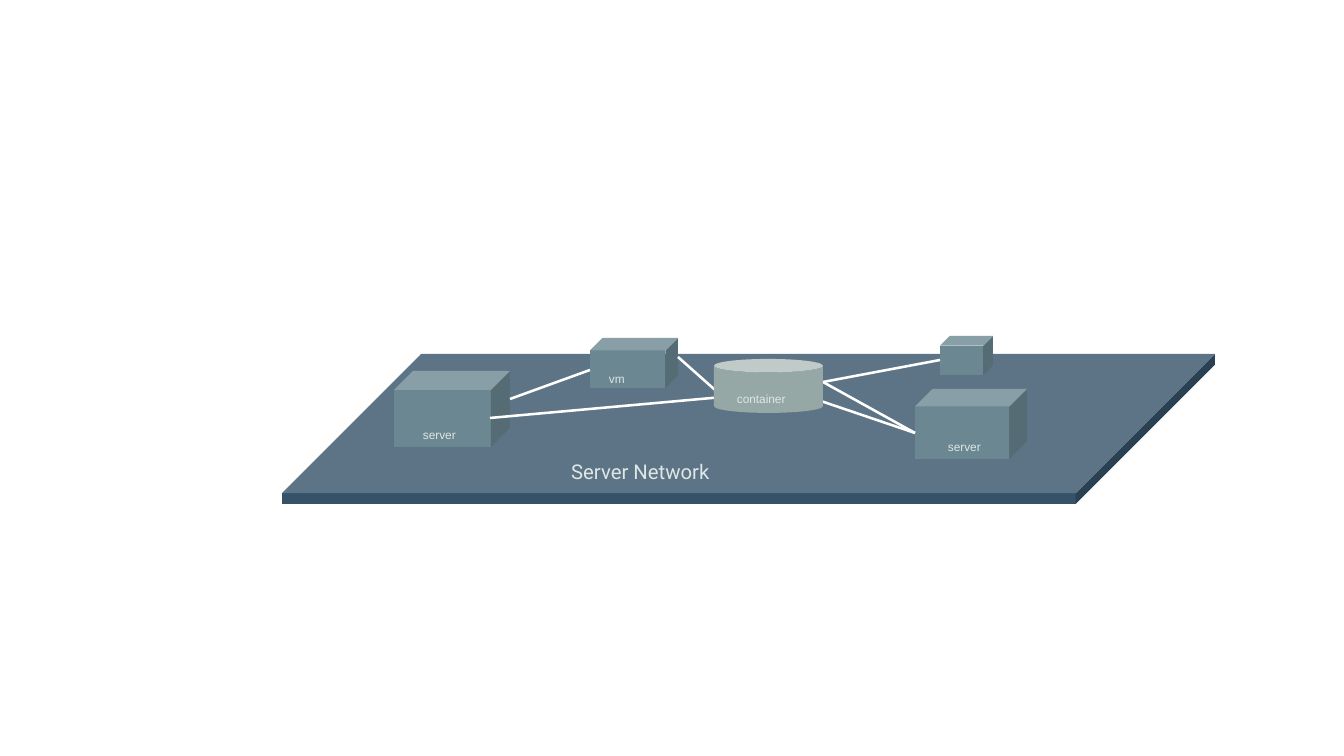
from pptx import Presentation
from pptx.dml.color import RGBColor
from pptx.enum.shapes import MSO_CONNECTOR as LINK, MSO_SHAPE as FORM
from pptx.enum.text import MSO_ANCHOR as ANCHOR, MSO_AUTO_SIZE as FIT, PP_ALIGN as ALIGN
from pptx.oxml.ns import qn
from pptx.util import Pt
from lxml.etree import SubElement

PX = 914400 / 122
PALE = "DEE7E5"
STEEL = "6B8791"


def hue(code):
    return RGBColor.from_string(code)


def px(*nums):
    return [round(n * PX) for n in nums]


deck = Presentation()
deck.slide_width, deck.slide_height = px(1344, 756)
slide = deck.slides.add_slide(deck.slide_layouts[5])
shapes = slide.shapes
title = shapes.title

# Platform and solid nodes
solids = [
    (FORM.CUBE, (282, 354, 933, 150), 0.928, "355269"),
    (FORM.CUBE, (394, 371, 116, 76), 0.25, STEEL),
    (FORM.CUBE, (590, 338, 88, 50), 0.25, STEEL),
    (FORM.CUBE, (915, 389, 112, 70), 0.25, STEEL),
    (FORM.CUBE, (940, 336, 53, 39), 0.25, STEEL),
    (FORM.CAN, (714, 359, 109, 54), 0.25, "95A8A5"),
]
for form, box, depth, fill in solids:
    solid = shapes.add_shape(form, *px(*box))
    solid.adjustments[0] = depth
    solid.shadow.inherit = False
    solid.fill.solid()
    solid.fill.fore_color.rgb = hue(fill)
    solid.line.fill.background()
can = solid

# Links, which run behind the container
links = [
    (510, 399, 590, 370),
    (490, 418, 723, 397),
    (678, 357, 723, 397),
    (809, 397, 915, 433),
    (823, 382, 940, 360),
    (823, 382, 915, 433),
]
for ends in links:
    link = shapes.add_connector(LINK.STRAIGHT, *px(*ends))
    link.line.color.rgb = hue("FFFFFF")
    link.line.width = Pt(1.5)
    SubElement(link.element.spPr, qn("a:effectLst"))
    can.element.addprevious(link.element)

# Title lies on the platform
title.left, title.top, title.width, title.height = px(559, 453, 311, 80)
can.element.addnext(title.element)

# Title and node labels
labels = [(title, "Server Network", 12, "Roboto")]
for left, top, name in [
    (411, 422, "server"),
    (936, 434, "server"),
    (725, 386, "container"),
    (597, 366, "vm"),
]:
    note = shapes.add_textbox(*px(left, top, 122, 26))
    labels.append((note, name, 7, "Arial"))

for note, name, size, face in labels:
    frame = note.text_frame
    frame.word_wrap = True
    frame.auto_size = FIT.NONE
    frame.vertical_anchor = ANCHOR.TOP
    para = frame.paragraphs[0]
    para.alignment = ALIGN.LEFT
    run = para.add_run()
    run.text = name
    run.font.size = Pt(size)
    run.font.name = face
    run.font.color.rgb = hue(PALE)

deck.save("out.pptx")
